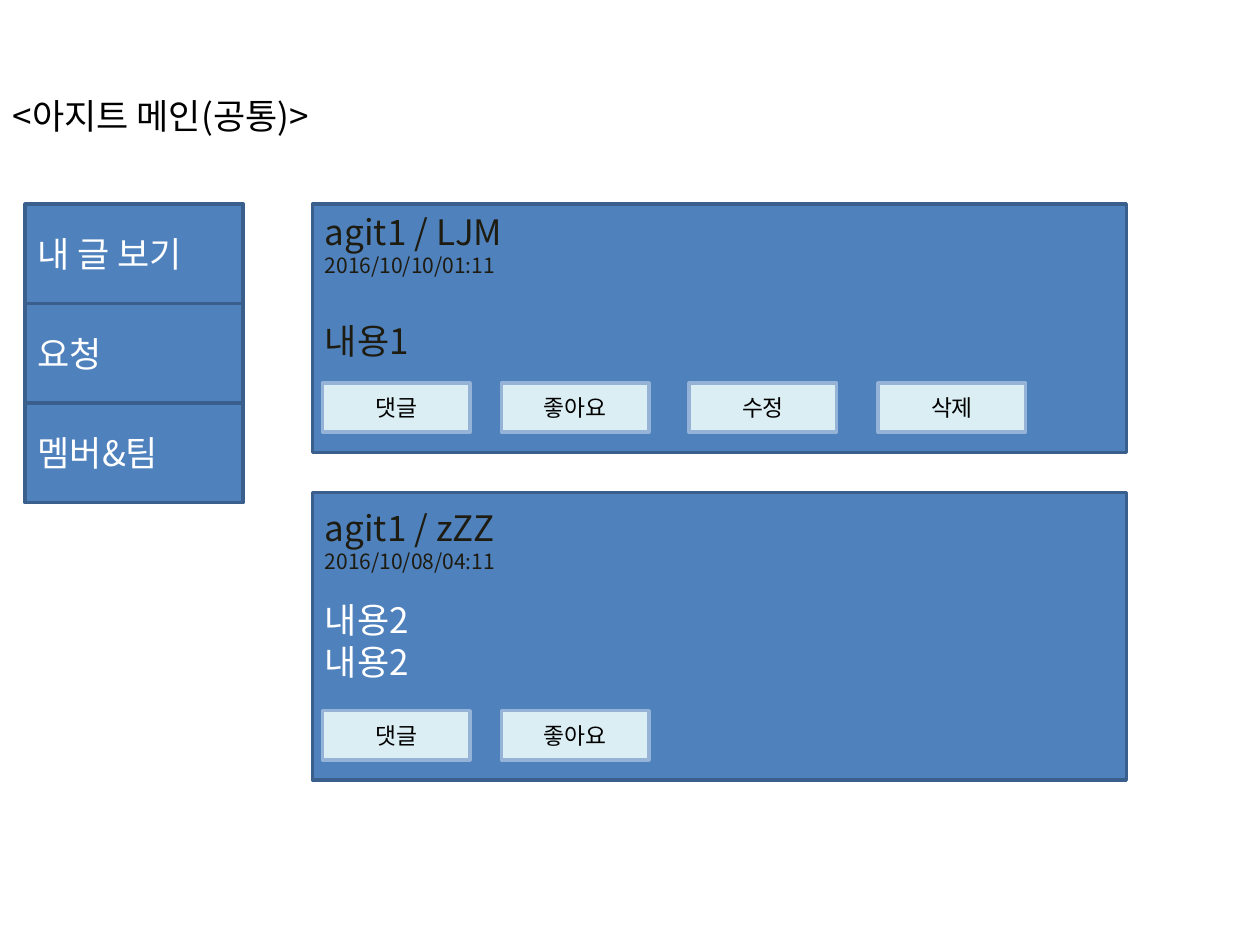
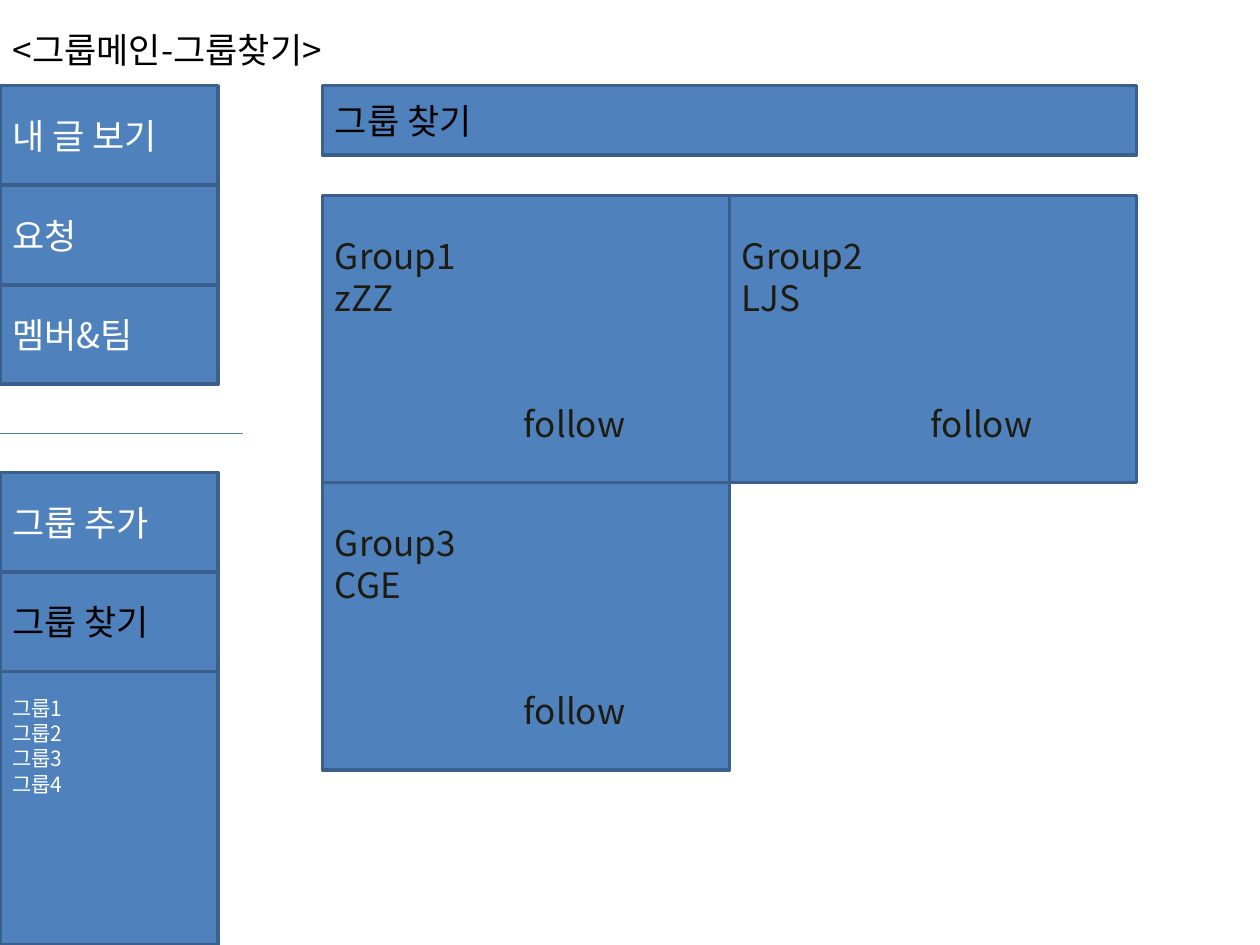
from dataclasses import dataclass

from lxml import etree
from pptx import Presentation
from pptx.dml.color import RGBColor
from pptx.enum.shapes import MSO_CONNECTOR, MSO_SHAPE
from pptx.enum.text import MSO_ANCHOR, MSO_AUTO_SIZE, PP_ALIGN
from pptx.oxml.ns import qn
from pptx.util import Inches, Pt

RECT = MSO_SHAPE.RECTANGLE
STRAIGHT = MSO_CONNECTOR.STRAIGHT
TOP, MIDDLE = MSO_ANCHOR.TOP, MSO_ANCHOR.MIDDLE
LEFT, CENTER = PP_ALIGN.LEFT, PP_ALIGN.CENTER
FIXED = MSO_AUTO_SIZE.NONE

FONT = "Noto Sans CJK KR"
BLACK, WHITE, INK = "000000", "FFFFFF", "1E1C11"
SLIDE_W, SLIDE_H = 10, 7.5
TITLE_W = 9.09
ROW_H, MENU_W = 0.79, 1.73
MAIN_W = 6.46
GROUP_COLS, GROUP_W, GROUP_H = 2, MAIN_W / 2, 2.28
BUTTON_W, BUTTON_H = 1.17, 0.39
BUTTON_LEFTS = (2.56, 3.98, 5.47, 6.97)
MENU = ("내 글 보기", "요청", "멤버&팀")


@dataclass(frozen=True)
class Line:
    """One paragraph with its size, colour, space before and left indent."""
    text: str
    size: float = 20
    color: str = WHITE
    before: float = 0
    indent: float = 0


@dataclass(frozen=True)
class Style:
    """Fill, outline and alignment of a box."""
    fill: str
    line: str
    align: PP_ALIGN = LEFT


@dataclass(frozen=True)
class Post:
    """A post card with its text and action buttons."""
    top: float
    height: float
    inset: float
    lines: tuple[Line, ...]
    buttons: tuple[str, ...]
    button_top: float


PANEL = Style("4F81BD", "3A5F8C")
BUTTON = Style("DBEEF4", "95B3D7", CENTER)

POSTS = (
    Post(1.62, 1.97, 0.05,
         (Line("agit1 / LJM", color=INK), Line("2016/10/10/01:11", 12, INK),
          Line("내용1", color=INK, before=24)),
         ("댓글", "좋아요", "수정", "삭제"), 3.04),
    Post(3.91, 2.28, 0.11,
         (Line("agit1 / zZZ", color=INK), Line("2016/10/08/04:11", 12, INK),
          Line("내용2", before=14.4), Line("내용2")),
         ("댓글", "좋아요"), 5.64),
)
GROUPS = (("Group1", "zZZ"), ("Group2", "LJS"), ("Group3", "CGE"))


def rgb(value: str) -> RGBColor:
    """Turn a hex string into a colour."""
    return RGBColor.from_string(value)


def write(tf, lines: tuple[Line, ...], align: PP_ALIGN = LEFT) -> None:
    """Fill a text frame with formatted paragraphs."""
    tf.word_wrap = True
    tf.text = "\n".join(line.text for line in lines)
    for p, line in zip(tf.paragraphs, lines):
        p.alignment = align
        p.space_before = Pt(line.before)
        if line.indent:
            p._p.get_or_add_pPr().set("marL", str(Inches(line.indent)))
        for r in p.runs:
            r.font.name = FONT
            r.font.size = Pt(line.size)
            r.font.color.rgb = rgb(line.color)
            etree.SubElement(r._r.get_or_add_rPr(), qn("a:ea"), typeface=FONT)


def add_box(s, left: float, top: float, width: float, height: float,
            lines: tuple[Line, ...], style: Style = PANEL,
            inset: float | None = None) -> None:
    """Draw a box, centring its text vertically unless a top inset is given."""
    sp = s.shapes.add_shape(RECT, *map(Inches, (left, top, width, height)))
    sp.shadow.inherit = False
    sp.fill.solid()
    sp.fill.fore_color.rgb = rgb(style.fill)
    sp.line.color.rgb = rgb(style.line)
    sp.line.width = Pt(2)
    tf = sp.text_frame
    tf.vertical_anchor = MIDDLE if inset is None else TOP
    if inset is not None:
        tf.margin_top = Inches(inset)
    write(tf, lines, style.align)


def add_menu(s, left: float, top: float, items: tuple[Line, ...]) -> None:
    """Stack menu rows from the given corner."""
    for i, item in enumerate(items):
        add_box(s, left, top + i * ROW_H, MENU_W, ROW_H, (item,))


def add_post(s, post: Post) -> None:
    """Draw a post card and its buttons."""
    add_box(s, 2.48, post.top, MAIN_W, post.height, post.lines, inset=post.inset)
    for left, label in zip(BUTTON_LEFTS, post.buttons):
        add_box(s, left, post.button_top, BUTTON_W, BUTTON_H,
                (Line(label, 13, BLACK),), BUTTON)


def add_rule(s, top: float, width: float) -> None:
    """Draw a thin rule from the left edge of the slide."""
    c = s.shapes.add_connector(STRAIGHT, *map(Inches, (0, top, width, top)))
    c.line.color.rgb = rgb("4B7EBC")
    c.line.width = Pt(0.75)
    etree.SubElement(c._element.spPr, qn("a:effectLst"))


def new_slide(prs, title: str, top: float):
    """Add a slide with its title placed at the left edge."""
    s = prs.slides.add_slide(prs.slide_layouts[5])
    sp = s.shapes.title
    sp.left, sp.top, sp.width, sp.height = map(Inches, (0, top, TITLE_W, ROW_H))
    tf = sp.text_frame
    tf.auto_size = FIXED
    tf.vertical_anchor = MIDDLE
    write(tf, (Line(title, color=BLACK),))
    return s


def build_agit_main(prs) -> None:
    """Build the main page with its menu and posts."""
    s = new_slide(prs, "<아지트 메인(공통)>", 0.52)
    add_menu(s, 0.2, 1.62, tuple(map(Line, MENU)))
    for post in POSTS:
        add_post(s, post)


def build_group_search(prs) -> None:
    """Build the group search page with its menus and group grid."""
    s = new_slide(prs, "<그룹메인-그룹찾기>", 0)
    search = Line("그룹 찾기", color=BLACK)
    left = 2.56
    add_box(s, left, 0.68, MAIN_W, 0.55, (search,))
    for i, (group, owner) in enumerate(GROUPS):
        row, col = divmod(i, GROUP_COLS)
        add_box(s, left + col * GROUP_W, 1.55 + row * GROUP_H, GROUP_W, GROUP_H,
                (Line(group, color=INK), Line(owner, color=INK),
                 Line("follow", color=INK, before=48, indent=1.5)), inset=0.31)
    add_menu(s, 0, 0.68, tuple(map(Line, MENU)))
    add_rule(s, 3.44, 1.93)
    actions = (Line("그룹 추가"), search)
    add_menu(s, 0, 3.75, actions)
    list_top = 3.75 + len(actions) * ROW_H
    names = tuple(Line(f"그룹{n}", 12) for n in range(1, 5))
    add_box(s, 0, list_top, MENU_W, SLIDE_H - list_top, names, inset=0.19)


def main() -> None:
    """Build and save the deck."""
    prs = Presentation()
    prs.slide_width, prs.slide_height = Inches(SLIDE_W), Inches(SLIDE_H)
    build_agit_main(prs)
    build_group_search(prs)
    prs.save("out.pptx")


if __name__ == "__main__":
    main()
